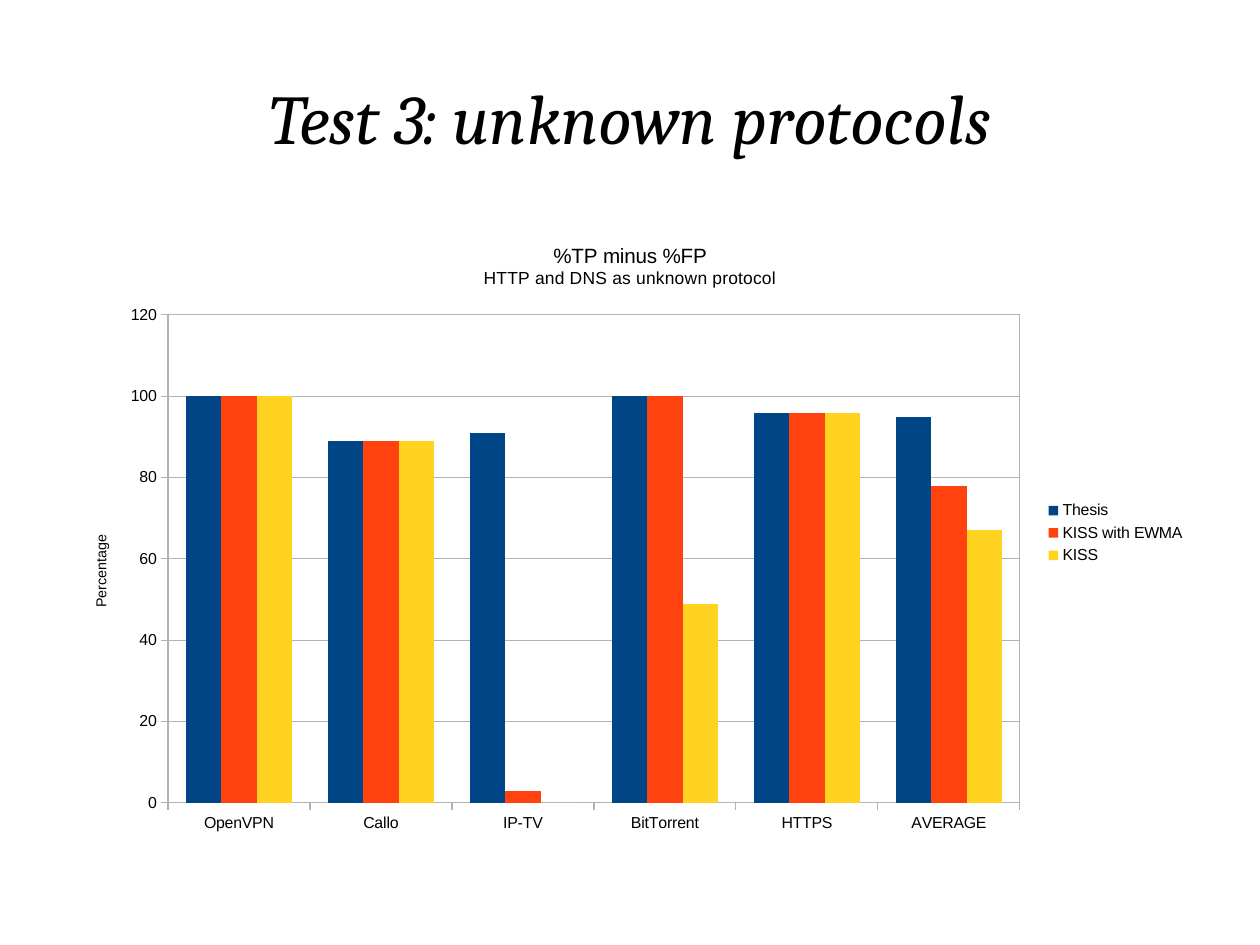
from lxml import etree
from pptx import Presentation
from pptx import util as u
from pptx.chart.data import CategoryChartData
from pptx.dml.color import RGBColor
from pptx.enum import chart as ch, text
from pptx.oxml import parse_xml
from pptx.oxml.ns import nsdecls, qn

PX = 8000
INK = {"text": "000000", "line": "B3B3B3"}
CATS = ["OpenVPN", "Callo", "IP-TV", "BitTorrent", "HTTPS", "AVERAGE"]
ROWS = [
    ("Thesis", "004586", (100, 89, 91, 100, 96, 95)),
    ("KISS with EWMA", "FF420E", (100, 89, 3, 100, 96, 78)),
    ("KISS", "FFD320", (100, 89, 0, 49, 96, 67)),
]


def style(font, size, face="Arial"):
    font.size, font.name = u.Pt(size), face
    font.bold = False
    font.color.rgb = RGBColor.from_string(INK["text"])


def add_run(para, words, size, face="Arial"):
    run = para.add_run()
    run.text = words
    style(run.font, size, face)
    return run


def thin(line):
    line.color.rgb = RGBColor.from_string(INK["line"])
    line.width = 0


def place(node, box, **parts):
    """Give a chart part a manual layout, as px within the chart box."""
    lay = node.find(qn("c:layout"))
    if lay is None:
        lay = etree.Element(qn("c:layout"))
        node.insert(0, lay)
    man = etree.SubElement(lay, qn("c:manualLayout"))
    if "w" in parts:
        etree.SubElement(man, qn("c:layoutTarget")).set("val", "inner")
    for key in ("x", "y"):
        etree.SubElement(man, qn(f"c:{key}Mode")).set("val", "edge")
    for key, val in parts.items():
        full = box[2] if key in "xw" else box[3]
        etree.SubElement(man, qn(f"c:{key}")).set("val", f"{val / full:.4f}")


def add_title(slide, box):
    head = slide.shapes.title
    head.left, head.top, head.width, head.height = (n * PX for n in box)
    frame = head.text_frame
    frame.margin_left = frame.margin_right = 0
    frame.margin_top = frame.margin_bottom = 0
    frame.vertical_anchor = text.MSO_ANCHOR.MIDDLE
    para = frame.paragraphs[0]
    para.alignment = text.PP_ALIGN.CENTER
    run = add_run(para, "Test 3: unknown protocols", 44, "Cambria")
    run.font.italic = True


def style_axes(chart, box):
    for axis in (chart.category_axis, chart.value_axis):
        axis.major_tick_mark = ch.XL_TICK_MARK.OUTSIDE
        axis.minor_tick_mark = ch.XL_TICK_MARK.NONE
        style(axis.tick_labels.font, 10)
        thin(axis.format.line)
    axis = chart.value_axis
    axis.minimum_scale, axis.maximum_scale, axis.major_unit = 0, 120, 20
    axis.has_major_gridlines = True
    thin(axis.major_gridlines.format.line)
    name = axis.axis_title
    add_run(name.text_frame.paragraphs[0], "Percentage", 9)
    body = name.element.find(".//" + qn("a:bodyPr"))
    body.set("rot", "-5400000")
    body.set("vert", "horz")
    place(name.element, box, x=26, y=311)


def add_bars(slide, box):
    data = CategoryChartData()
    data.categories = CATS
    for name, _, vals in ROWS:
        data.add_series(name, vals)
    chart = slide.shapes.add_chart(
        ch.XL_CHART_TYPE.COLUMN_CLUSTERED, *(n * PX for n in box), data).chart
    style(chart.font, 10)

    chart.has_title = True
    frame = chart.chart_title.text_frame
    add_run(frame.paragraphs[0], "%TP minus %FP", 13)
    add_run(frame.add_paragraph(), "HTTP and DNS as unknown protocol", 11)

    plot = chart.plots[0]
    plot.gap_width, plot.overlap = 100, 0
    plot.vary_by_categories = False
    for bars, (_, color, _) in zip(plot.series, ROWS):
        bars.format.fill.solid()
        bars.format.fill.fore_color.rgb = RGBColor.from_string(color)
        bars.invert_if_negative = False

    style_axes(chart, box)
    area = chart.element.find(".//" + qn("c:plotArea"))
    place(area, box, x=105, y=94, w=852, h=488)
    area.append(parse_xml(
        f'<c:spPr {nsdecls("c", "a")}><a:noFill/><a:ln w="0"><a:solidFill>'
        f'<a:srgbClr val="{INK["line"]}"/></a:solidFill></a:ln></c:spPr>'))

    chart.has_legend = True
    chart.legend.position = ch.XL_LEGEND_POSITION.RIGHT
    chart.legend.include_in_layout = False
    style(chart.legend.font, 10)


def main():
    deck = Presentation()
    deck.slide_width, deck.slide_height = 1260 * PX, 945 * PX
    slide = deck.slides.add_slide(deck.slide_layouts[5])
    add_title(slide, (63, 38, 1134, 158))
    add_bars(slide, (63, 221, 1134, 624))
    deck.save("out.pptx")


if __name__ == "__main__":
    main()
